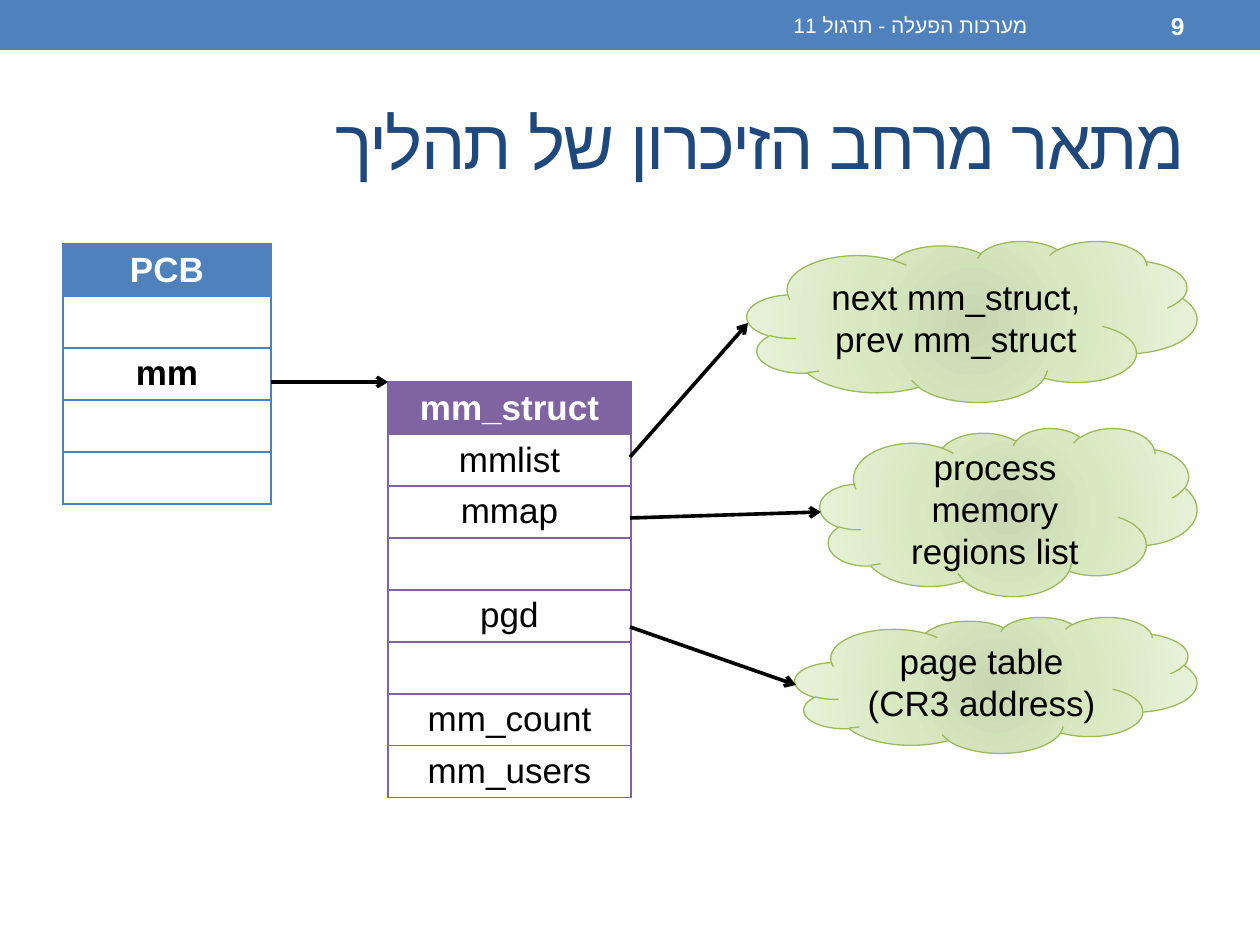
"""Build the slide on the memory descriptor of a process."""
from lxml import etree
from pptx import Presentation
from pptx.dml.color import RGBColor
from pptx.enum.shapes import MSO_CONNECTOR, MSO_SHAPE
from pptx.enum.text import MSO_ANCHOR, MSO_AUTO_SIZE, PP_ALIGN
from pptx.oxml import parse_xml
from pptx.oxml.ns import nsdecls, qn
from pptx.util import Pt

RECT, CLOUD = MSO_SHAPE.RECTANGLE, MSO_SHAPE.CLOUD
LINE = MSO_CONNECTOR.STRAIGHT
MIDDLE, NO_FIT = MSO_ANCHOR.MIDDLE, MSO_AUTO_SIZE.NONE
CENTER, RIGHT = PP_ALIGN.CENTER, PP_ALIGN.RIGHT


class Theme:
    """Colours, font and type sizes."""
    font = "Arial"
    blue, purple, green = "4F81BD", "8064A2", "9BBB59"
    navy, black, white = "1F497D", "000000", "FFFFFF"
    glow = [(0, "C8D7B2"), (45, "D8E8C0"), (100, "E9F3DC")]
    title, body, page, note = 40, 20, 14, 12
    thin, thick = 0.75, 2.08


TITLE = "מתאר מרחב הזיכרון של תהליך"
TITLE_BOX = (63, 73, 1134, 136)
BAR = (0, 0, 1260, 50)
HEADS = [
    ("9", (1050, 3, 147, 45), Theme.page, True),
    ("מערכות הפעלה - תרגול 11", (473, 3, 567, 45), Theme.note, False),
]
TABLES = [
    (["PCB", "", "mm", "", ""], (63, 244, 208), Theme.blue, True),
    (["mm_struct", "mmlist", "mmap", "", "pgd", "", "mm_count", "mm_users"],
     (388, 382, 243), Theme.purple, False),
]
CLOUDS = [
    (["page table", "(CR3 address)"], (795, 617, 402, 136)),
    (["process memory regions list"], (820, 428, 377, 168)),
    (["next mm_struct, prev mm_struct"], (747, 241, 450, 161)),
]
ARROWS = [
    (271, 382, 388, 382),
    (630, 627, 796, 685),
    (630, 518, 821, 512),
    (630, 457, 748, 323),
]
ROW = 52


def px(*vals):
    return [round(v * 914400 / 126) for v in vals]


def rgb(code):
    return RGBColor.from_string(code)


def write(frame, lines, size, color, bold=False, align=CENTER, rtl=False):
    for i, text in enumerate(lines):
        para = frame.add_paragraph() if i else frame.paragraphs[0]
        para.alignment = align
        if rtl:
            para._p.get_or_add_pPr().set("rtl", "1")
        run = para.add_run()
        run.text = text
        font = run.font
        font.name, font.size, font.bold = Theme.font, Pt(size), bold
        font.color.rgb = rgb(color)
        face = etree.SubElement(font._element, qn("a:cs"))
        face.set("typeface", Theme.font)


def set_frame(frame):
    frame.word_wrap, frame.auto_size = True, NO_FIT
    frame.vertical_anchor = MIDDLE


def add_title(slide):
    title = slide.shapes.title
    title.left, title.top, title.width, title.height = px(*TITLE_BOX)
    set_frame(title.text_frame)
    write(title.text_frame, [TITLE], Theme.title, Theme.navy, False, RIGHT, True)
    title.text_frame.paragraphs[0].runs[0].font._element.set("spc", "-100")


def add_head(slide, text, box, size, bold):
    head = slide.shapes.add_textbox(*px(*box))
    set_frame(head.text_frame)
    write(head.text_frame, [text], size, Theme.white, bold, RIGHT, True)


def add_bar(slide):
    bar = slide.shapes.add_shape(RECT, *px(*BAR))
    bar.shadow.inherit = False
    bar.fill.solid()
    bar.fill.fore_color.rgb = rgb(Theme.blue)
    bar.line.fill.background()


def add_border(cell, color):
    props = cell._tc.get_or_add_tcPr()
    for side in "LRTB":
        props.append(parse_xml(
            f'<a:ln{side} {nsdecls("a")} w="{Pt(Theme.thin)}"><a:solidFill>'
            f'<a:srgbClr val="{color}"/></a:solidFill></a:ln{side}>'))


def add_grid(slide, names, place, color, bold):
    left, top, width = place
    size = px(left, top, width, ROW * len(names))
    table = slide.shapes.add_table(len(names), 1, *size).table
    table.first_row = table.horz_banding = False
    for i, name in enumerate(names):
        table.rows[i].height = px(ROW)[0]
        cell = table.cell(i, 0)
        add_border(cell, color)
        if i:
            cell.fill.background()
        else:
            cell.fill.solid()
            cell.fill.fore_color.rgb = rgb(color)
        ink = Theme.black if i else Theme.white
        if name:
            write(cell.text_frame, [name], Theme.body, ink, bold or not i)


def add_cloud(slide, lines, box):
    cloud = slide.shapes.add_shape(CLOUD, *px(*box))
    cloud.shadow.inherit = False
    cloud.fill.background()
    stops = "".join(f'<a:gs pos="{at * 1000}"><a:srgbClr val="{code}"/></a:gs>'
                    for at, code in Theme.glow)
    props = cloud._element.spPr
    props.replace(props.find(qn("a:noFill")), parse_xml(
        f'<a:gradFill {nsdecls("a")} rotWithShape="1"><a:gsLst>{stops}</a:gsLst>'
        '<a:path path="circle"><a:fillToRect l="100000" t="100000" '
        'r="100000" b="100000"/></a:path></a:gradFill>'))
    cloud.line.color.rgb = rgb(Theme.green)
    cloud.line.width = Pt(Theme.thin)
    set_frame(cloud.text_frame)
    write(cloud.text_frame, lines, Theme.body, Theme.black)


def add_arrow(slide, ends):
    arrow = slide.shapes.add_connector(LINE, *px(*ends))
    arrow.line.color.rgb = rgb(Theme.black)
    arrow.line.width = Pt(Theme.thick)
    tip = etree.SubElement(arrow.line._get_or_add_ln(), qn("a:tailEnd"))
    tip.set("type", "arrow")
    etree.SubElement(arrow._element.spPr, qn("a:effectLst"))


def main():
    deck = Presentation()
    deck.slide_width, deck.slide_height = px(1260, 945)
    slide = deck.slides.add_slide(deck.slide_layouts[5])
    add_bar(slide)
    add_title(slide)
    for head in HEADS:
        add_head(slide, *head)
    for grid in TABLES:
        add_grid(slide, *grid)
    for cloud in CLOUDS:
        add_cloud(slide, *cloud)
    for ends in ARROWS:
        add_arrow(slide, ends)
    deck.save("out.pptx")


if __name__ == "__main__":
    main()
